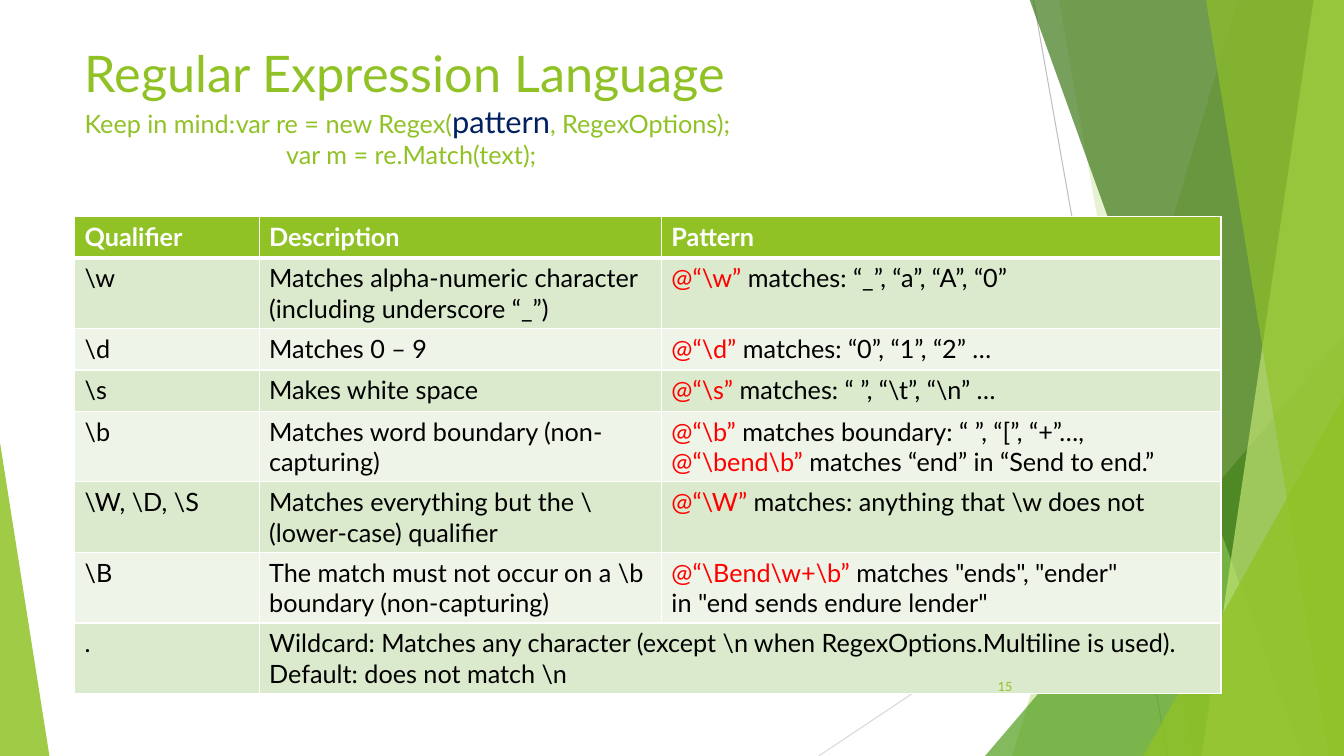
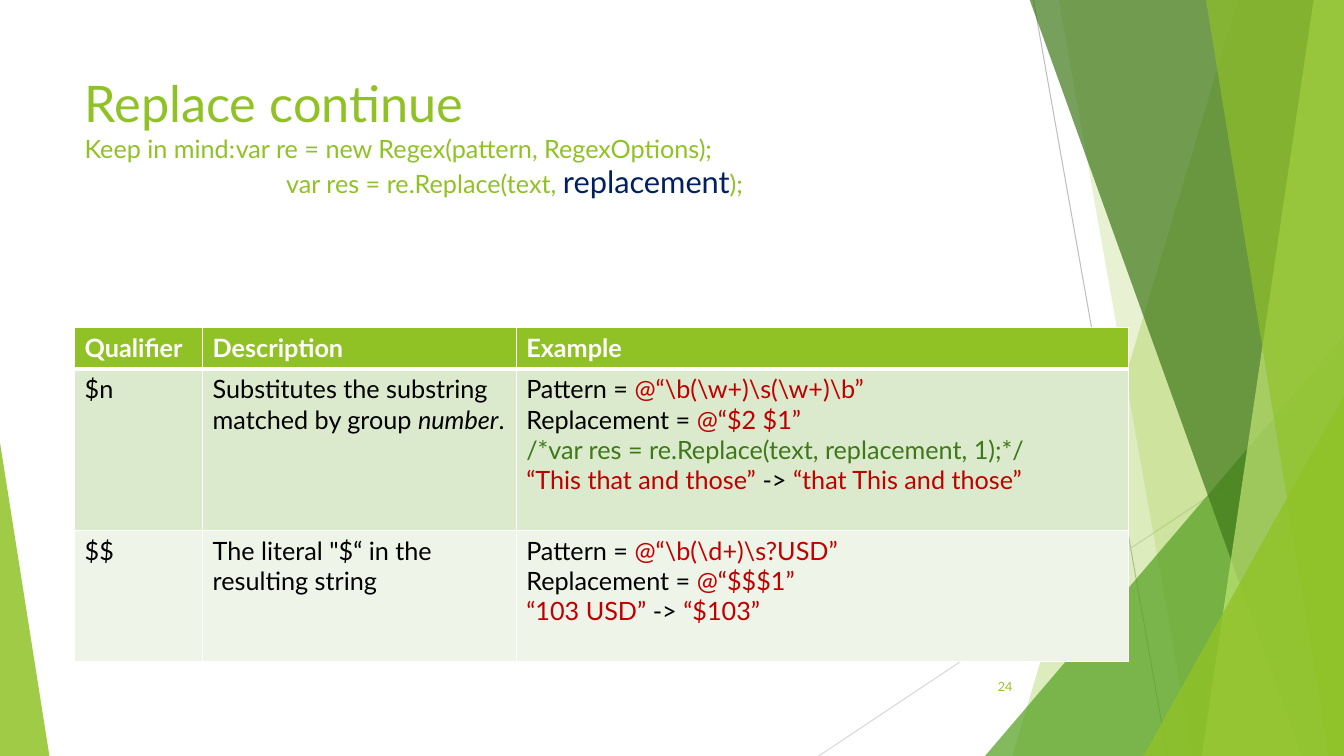
from dataclasses import dataclass, field
from typing import NamedTuple, Union

from pptx import Presentation
from pptx.dml.color import RGBColor
from pptx.enum.shapes import MSO_CONNECTOR as Conn, MSO_SHAPE as Shape
from pptx.enum.text import MSO_ANCHOR as Anchor, PP_ALIGN as Align
from pptx.oxml.ns import qn
from pptx.oxml.xmlchemy import OxmlElement as Element
from pptx.util import Inches, Pt

WIDTH, HEIGHT = 13.33, 7.5
FONT = "Lato"
LIME, GREEN, FOREST, PALE_LIME = "90C226", "54A021", "3F7819", "C0E474"
WHITE, BLACK, NAVY, RED, CRIMSON = "FFFFFF", "000000", "002060", "FF0000", "C00000"
BANDS = ("DBE9CD", "EEF4E8")
LEFT = 0.74
THIN, THICK = 1, 3


class Run(NamedTuple):
    text: str
    color: str = ""
    size: float = 0
    italic: bool = False


Para = tuple[Union[str, Run], ...]
Cell = Union[str, list[Para]]


class Ray(NamedTuple):
    x1: float
    y1: float
    x2: float
    y2: float
    color: str


class Panel(NamedTuple):
    """Full-height area from a slanted left edge to the right of the slide."""
    top_x: float
    bottom_x: float
    color: str
    alpha: int


class Wedge(NamedTuple):
    """Triangle standing on the bottom of the slide; peak is 0 (left) to 1 (right)."""
    left: float
    top: float
    width: float
    peak: float
    color: str
    alpha: int


@dataclass
class TableSlide:
    number: int
    title: str
    title_top: float
    code: list[Para]
    table_top: float
    columns: list[float]
    row_heights: list[float]
    rows: list[list[Cell]] = field(default_factory=list)


RAYS = (Ray(10.25, 0, 11.58, HEIGHT, "BFBFBF"), Ray(WIDTH, 4.03, 8.12, HEIGHT, "D9D9D9"))
FACETS = (
    Panel(12.28, 10.04, LIME, 30),
    Panel(10.5, 11.83, LIME, 20),
    Wedge(9.77, 3.33, 3.56, 1, GREEN, 72),
    Panel(10.21, 12.91, FOREST, 70),
    Panel(13.03, 11.92, PALE_LIME, 70),
    Panel(11.96, 13.18, LIME, 65),
    Wedge(11.34, 3.93, 1.99, 1, LIME, 80),
    Wedge(0, 4.39, 0.49, 0, LIME, 85),
)

LANGUAGE = TableSlide(
    15, "Regular Expression Language", 0.37,
    [("Keep in mind:\tvar re = new Regex(", Run("pattern", NAVY, 22), ", RegexOptions);"),
     ("var m = re.Match(text);",)],
    2.15, [1.83, 3.99, 5.55], [0.41, 0.7, 0.41, 0.41, 0.7, 0.7, 0.7, 0.7],
    [
        ["Qualifier", "Description", "Pattern"],
        [r"\w", "Matches alpha-numeric character (including underscore “_”)",
         [(Run(r"@“\w”", RED), " matches: “_”, “a”, “A”, “0”")]],
        [r"\d", "Matches 0 – 9", [(Run(r"@“\d”", RED), " matches: “0”, “1”, “2” …")]],
        [r"\s", "Makes white space",
         [(Run(r"@“\s”", RED), r" matches: “ ”, “\t”, “\n” …")]],
        [r"\b", "Matches word boundary (non-capturing)",
         [(Run(r"@“\b”", RED), " matches boundary: “ ”, “[”, “+”…, ",
           Run(r"@“\bend\b”", RED), " matches “end” in “Send to end.”")]],
        [r"\W, \D, \S", r"Matches everything but the \(lower-case) qualifier",
         [(Run(r"@“\W”", RED), r" matches: anything that \w does not")]],
        [r"\B", r"The match must not occur on a \b boundary (non-capturing)",
         [(Run(r"@“\Bend\w+\b” ", RED), 'matches "ends", "ender"'),
          ('in "end sends endure lender"',)]],
        [".", r"Wildcard: Matches any character (except \n when RegexOptions.Multiline"
              r" is used). Default: does not match \n"],
    ],
)

REPLACE = TableSlide(
    24, "Replace continue", 0.67,
    [("Keep in mind:\tvar re = new Regex(pattern, RegexOptions);",),
     ("var res = re.Replace(text, ", Run("replacement", NAVY, 22), ");")],
    3.25, [1.27, 3.11, 6.07], [0.41, 1.6, 1.3],
    [
        ["Qualifier", "Description", "Example"],
        ["$n", [("Substitutes the substring matched by group ",
                 Run("number", italic=True), ".")],
         [("Pattern = ", Run(r"@“\b(\w+)\s(\w+)\b”", CRIMSON)),
          ("Replacement = ", Run("@“$2 $1”", CRIMSON)),
          (Run("/*var res = re.Replace(text, replacement, 1);*/", FOREST),),
          (Run("“This that and those”", CRIMSON), " -> ",
           Run("“that This and those”", CRIMSON))]],
        ["$$", 'The literal "$“ in the resulting string',
         [("Pattern = ", Run(r"@“\b(\d+)\s?USD”", CRIMSON)),
          ("Replacement = ", Run("@“$$$1”", CRIMSON)),
          (Run("“103 USD”", CRIMSON), " -> ", Run("“$103”", CRIMSON))]],
    ],
)


def rgb(color: str) -> RGBColor:
    return RGBColor.from_string(color)


def write(tf, paras: list[Para], color: str, size: float = 18, bold: bool = False) -> None:
    """Fill a text frame; runs override the given colour and size."""
    for i, para in enumerate(paras):
        p = tf.paragraphs[0] if i == 0 else tf.add_paragraph()
        for part in para:
            run = part if isinstance(part, Run) else Run(part)
            r = p.add_run()
            r.text = run.text
            style = {"name": FONT, "size": Pt(run.size or size),
                     "bold": bold, "italic": run.italic}
            for name, value in style.items():
                setattr(r.font, name, value)
            r.font.color.rgb = rgb(run.color or color)


def add_text_box(s, left: float, top: float, width: float, height: float):
    tf = s.shapes.add_textbox(*map(Inches, (left, top, width, height))).text_frame
    tf.word_wrap = True
    return tf


def add_ray(s, ray: Ray) -> None:
    line = s.shapes.add_connector(Conn.STRAIGHT, *map(Inches, ray[:4]))
    line.line.color.rgb = rgb(ray.color)
    line.line.width = Pt(0.75)
    line._element.spPr.append(Element("a:effectLst"))


def add_facet(s, facet: Union[Panel, Wedge]) -> None:
    if isinstance(facet, Panel):
        top = -0.01
        outline = [(facet.top_x, top), (WIDTH, top), (WIDTH, HEIGHT), (facet.bottom_x, HEIGHT)]
        points = [(Inches(x), Inches(y)) for x, y in outline]
        builder = s.shapes.build_freeform(*points[0])
        builder.add_line_segments(points[1:], close=True)
        sp = builder.convert_to_shape()
    else:
        box = (facet.left, facet.top, facet.width, HEIGHT - facet.top)
        sp = s.shapes.add_shape(Shape.ISOSCELES_TRIANGLE, *map(Inches, box))
        sp.adjustments[0] = facet.peak
    sp.shadow.inherit = False
    sp.line.fill.background()
    sp.fill.solid()
    sp.fill.fore_color.rgb = rgb(facet.color)
    alpha = Element("a:alpha")
    alpha.set("val", str(facet.alpha * 1000))
    sp._element.spPr.find(qn("a:solidFill"))[0].append(alpha)


def add_title(s, spec: TableSlide) -> None:
    tf = add_text_box(s, LEFT, spec.title_top, 9.4, 1.4)
    write(tf, [(Run(spec.title, size=36),), *spec.code], LIME)
    _, first, second = tf.paragraphs
    tabs, tab = Element("a:tabLst"), Element("a:tab")
    tab.set("pos", str(Inches(1.5)))
    tab.set("algn", "l")
    tabs.append(tab)
    first._p.get_or_add_pPr().append(tabs)
    indent = second._p.get_or_add_pPr()
    indent.set("marL", str(Inches(2)))
    indent.set("indent", "0")


def set_borders(cell, top: float, bottom: float) -> None:
    tc_pr = cell._tc.get_or_add_tcPr()
    for side, width in {"L": THIN, "R": THIN, "T": top, "B": bottom}.items():
        ln, fill, color = (Element(f"a:{tag}") for tag in (f"ln{side}", "solidFill", "srgbClr"))
        ln.set("w", str(Pt(width)))
        color.set("val", WHITE)
        fill.append(color)
        ln.append(fill)
        tc_pr.append(ln)


def add_table(s, spec: TableSlide) -> None:
    """Draw the banded table; a short row stretches its last cell to the right edge."""
    size = (LEFT, spec.table_top, sum(spec.columns), sum(spec.row_heights))
    table = s.shapes.add_table(len(spec.rows), len(spec.columns), *map(Inches, size)).table
    for column, width in zip(table.columns, spec.columns):
        column.width = Inches(width)
    for i, (texts, height) in enumerate(zip(spec.rows, spec.row_heights)):
        table.rows[i].height = Inches(height)
        header = i == 0
        for cell in table.rows[i].cells:
            set_borders(cell, THICK if i == 1 else THIN, THICK if header else THIN)
            cell.fill.solid()
            cell.fill.fore_color.rgb = rgb(LIME if header else BANDS[(i - 1) % 2])
        for j, text in enumerate(texts):
            paras = [(text,)] if isinstance(text, str) else text
            write(table.cell(i, j).text_frame, paras, WHITE if header else BLACK, bold=header)
        if len(texts) < len(spec.columns):
            table.cell(i, len(texts) - 1).merge(table.cell(i, len(spec.columns) - 1))


def add_page_number(s, number: int) -> None:
    tf = add_text_box(s, 9.39, 6.61, 0.75, 0.4)
    tf.vertical_anchor = Anchor.MIDDLE
    write(tf, [(str(number),)], LIME, size=9)
    tf.paragraphs[0].alignment = Align.RIGHT


def add_slide(prs, spec: TableSlide) -> None:
    s = prs.slides.add_slide(prs.slide_layouts[6])
    for ray in RAYS:
        add_ray(s, ray)
    for facet in FACETS:
        add_facet(s, facet)
    add_title(s, spec)
    add_table(s, spec)
    add_page_number(s, spec.number)


def main() -> None:
    prs = Presentation()
    prs.slide_width, prs.slide_height = Inches(WIDTH), Inches(HEIGHT)
    for spec in (LANGUAGE, REPLACE):
        add_slide(prs, spec)
    prs.save("out.pptx")


if __name__ == "__main__":
    main()
